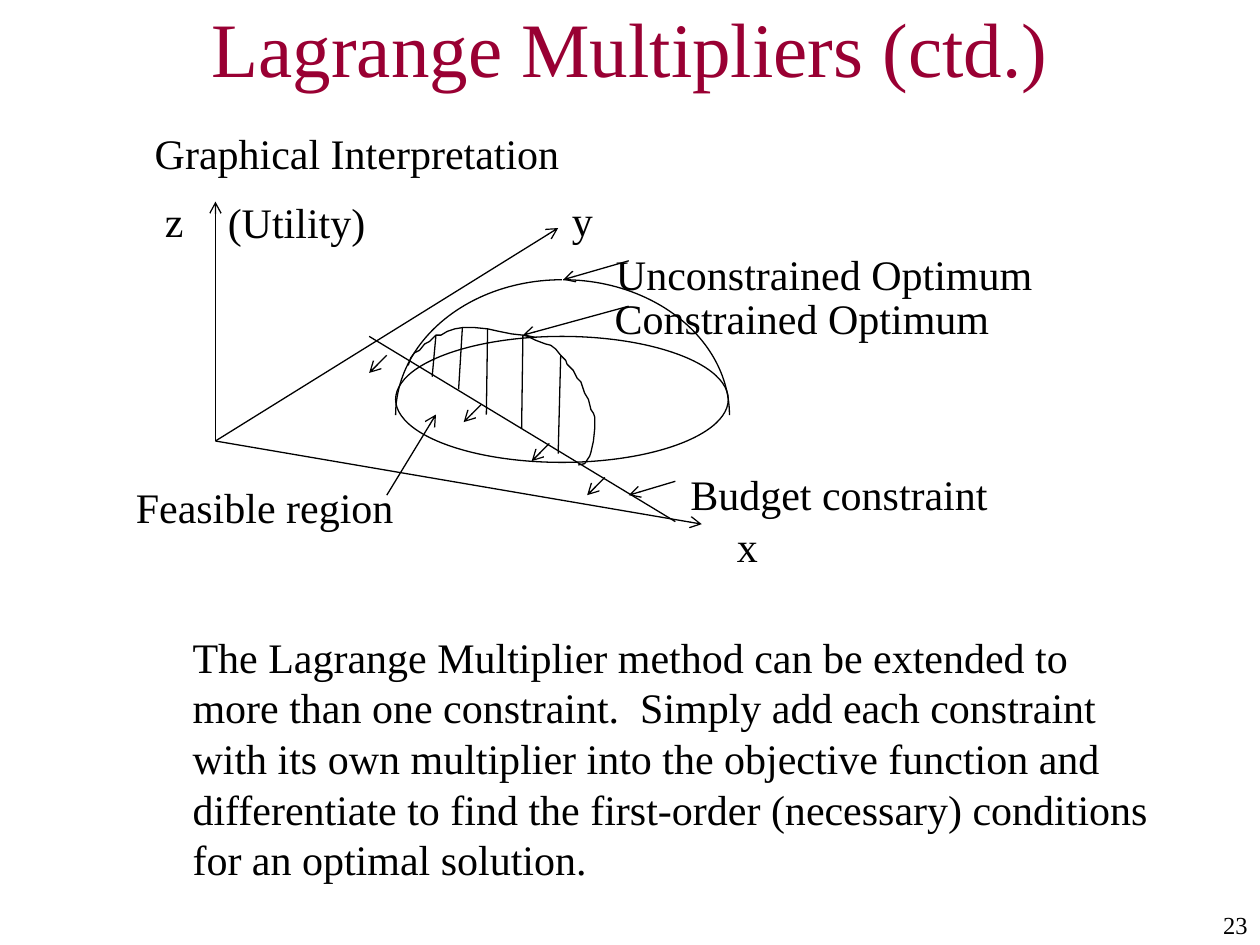
from dataclasses import dataclass

from pptx import Presentation
from pptx.dml.color import RGBColor
from pptx.enum.shapes import MSO_CONNECTOR as CONN, MSO_SHAPE as SHAPE
from pptx.enum.text import MSO_ANCHOR as ANCHOR, MSO_AUTO_SIZE as FIT, PP_ALIGN as ALIGN
from pptx.oxml.ns import qn
from pptx.util import Inches, Pt
from lxml.etree import SubElement


@dataclass(frozen=True)
class Theme:
    """Colours, typeface, type sizes and line width."""
    font: str = "Times New Roman"
    title: str = "990033"
    ink: str = "000000"
    title_size: float = 44
    text_size: float = 24
    number_size: float = 14
    leading: float = 28.9
    line: float = 0.75


def write(tf, text, *, font, size, color, align=ALIGN.LEFT, leading=None):
    """Put one formatted paragraph into a text frame."""
    p = tf.paragraphs[0]
    p.alignment = align
    if leading:
        p.line_spacing = Pt(leading)
    r = p.add_run()
    r.text = text
    r.font.name = font
    r.font.size = Pt(size)
    r.font.color.rgb = RGBColor.from_string(color)


class Diagram:
    """Draws elements on the current slide in one style."""

    def __init__(self, s, theme):
        """Keep the slide and its theme."""
        self.s, self.theme = s, theme

    def title(self, text, *box):
        """Place and fill the title placeholder."""
        sp = self.s.shapes.title
        sp.left, sp.top, sp.width, sp.height = map(Inches, box)
        tf = sp.text_frame
        tf.auto_size, tf.word_wrap = FIT.NONE, True
        tf.vertical_anchor = ANCHOR.MIDDLE
        write(tf, text, font=self.theme.font, size=self.theme.title_size,
              color=self.theme.title)

    def label(self, text, *box, size=None, align=ALIGN.LEFT):
        """Add a text box."""
        tf = self.s.shapes.add_textbox(*map(Inches, box)).text_frame
        tf.word_wrap = True
        tf.auto_size = FIT.NONE if size else FIT.SHAPE_TO_FIT_TEXT
        write(tf, text, font=self.theme.font, size=size or self.theme.text_size,
              color=self.theme.ink, align=align,
              leading=None if size else self.theme.leading)

    def stroke(self, sp):
        """Give a shape or connector the theme line."""
        sp.line.color.rgb = RGBColor.from_string(self.theme.ink)
        sp.line.width = Pt(self.theme.line)

    def line(self, start, end, arrow=False):
        """Add a straight line, with an arrowhead at its end if asked."""
        sp = self.s.shapes.add_connector(CONN.STRAIGHT, *map(Inches, (*start, *end)))
        self.stroke(sp)
        if arrow:
            SubElement(sp.line._get_or_add_ln(), qn("a:tailEnd"), type="arrow")
        SubElement(sp._element.spPr, qn("a:effectLst"))

    def outline(self, kind, *box, angles=()):
        """Add an unfilled preset shape, with arc angles in degrees."""
        sp = self.s.shapes.add_shape(kind, *map(Inches, box))
        for i, angle in enumerate(angles):
            sp.adjustments[i] = angle * 0.6
        self.finish(sp)

    def curve(self, points):
        """Add an open outline through the points."""
        start, *rest = [(Inches(x), Inches(y)) for x, y in points]
        fb = self.s.shapes.build_freeform(*start)
        fb.add_line_segments(rest, close=False)
        self.finish(fb.convert_to_shape())

    def finish(self, sp):
        """Remove fill and shadow and set the line."""
        sp.shadow.inherit = False
        sp.fill.background()
        self.stroke(sp)


ORIGIN = (1.71, 3.5)
AXIS_ENDS = [(1.71, 1.6), (4.43, 1.81), (5.57, 4.16)]
SECTION = [
    (3.24, 2.9), (3.26, 2.84), (3.29, 2.8), (3.33, 2.78), (3.37, 2.73), (3.41, 2.71),
    (3.43, 2.69), (3.46, 2.66), (3.5, 2.66), (3.55, 2.63), (3.61, 2.61), (3.67, 2.6),
    (3.77, 2.6), (3.87, 2.61), (3.96, 2.63), (4.06, 2.65), (4.15, 2.66), (4.19, 2.67),
    (4.25, 2.7), (4.33, 2.73), (4.37, 2.74), (4.41, 2.77), (4.45, 2.82), (4.49, 2.86),
    (4.5, 2.89), (4.55, 2.94), (4.58, 3), (4.61, 3.03), (4.64, 3.12), (4.67, 3.17),
    (4.69, 3.25), (4.71, 3.28), (4.72, 3.31), (4.72, 3.4), (4.71, 3.5), (4.69, 3.59),
    (4.68, 3.62), (4.66, 3.65), (4.64, 3.68), (4.59, 3.69)]
HATCHING = [((3.46, 2.66), (3.43, 2.99)), ((3.67, 2.6), (3.64, 3.09)),
            ((3.87, 2.61), (3.86, 3.29)), ((4.15, 2.66), (4.14, 3.4)),
            ((4.45, 2.82), (4.43, 3.6))]
POINTERS = [((3.07, 3.93), (3.46, 3.29)), ((4.99, 2.07), (4.47, 2.22)),
            ((4.99, 2.43), (4.15, 2.66)), ((5.36, 3.82), (4.99, 3.93))]
INWARD_STARTS = [(3.07, 2.82), (3.82, 3.21), (4.36, 3.52), (4.8, 3.79)]
AXIS_LABELS = [("y", 4.44, 1.49), ("x", 5.75, 4.08), ("z", 1.21, 1.5)]
CALLOUTS = [("Feasible region", 0.98, 3.77, 2.3),
            ("Unconstrained Optimum", 4.79, 1.92, 3.55),
            ("Constrained Optimum", 4.78, 2.27, 3.22),
            ("Budget constraint", 5.38, 3.67, 2.61),
            ("(Utility)", 1.71, 1.51, 1.34)]
EXTENSION = ("The Lagrange Multiplier method can be extended to more than one "
             "constraint.  Simply add each constraint with its own multiplier into the "
             "objective function and differentiate to find the first-order (necessary) "
             "conditions for an optimal solution.")


def main():
    """Build and save the slide."""
    prs = Presentation()
    prs.slide_width, prs.slide_height = Inches(10), Inches(7.5)
    theme = Theme()
    d = Diagram(prs.slides.add_slide(prs.slide_layouts[5]), theme)

    d.title("Lagrange Multipliers (ctd.)", 1.58, 0.08, 8.42, 0.58)
    d.label("23", 8.58, 7.17, 1.42, 0.33, size=theme.number_size, align=ALIGN.RIGHT)

    for end in AXIS_ENDS:
        d.line(ORIGIN, end, arrow=True)
    d.outline(SHAPE.OVAL, 3.14, 2.67, 2.64, 1)
    d.outline(SHAPE.ARC, 3.15, 2.22, 2.64, 2.15, angles=(270, 0))
    d.outline(SHAPE.ARC, 3.14, 2.22, 2.64, 2.15, angles=(180, 270))
    d.line((2.93, 2.67), (5.36, 4.14))
    d.curve(SECTION)
    for start, end in HATCHING:
        d.line(start, end)
    for start, end in POINTERS:
        d.line(start, end, arrow=True)
    for x, y in INWARD_STARTS:
        d.line((x, y), (x - 0.14, y + 0.14), arrow=True)

    for text, x, y in AXIS_LABELS:
        d.label(text, x, y, 0.43, 0.5)
    for text, x, y, width in CALLOUTS:
        d.label(text, x, y, width, 0.5)
    d.label("Graphical Interpretation", 1.13, 0.96, 3.67, 0.5)
    d.label(EXTENSION, 1.43, 4.96, 7.91, 2.1)

    prs.save("out.pptx")


if __name__ == "__main__":
    main()
